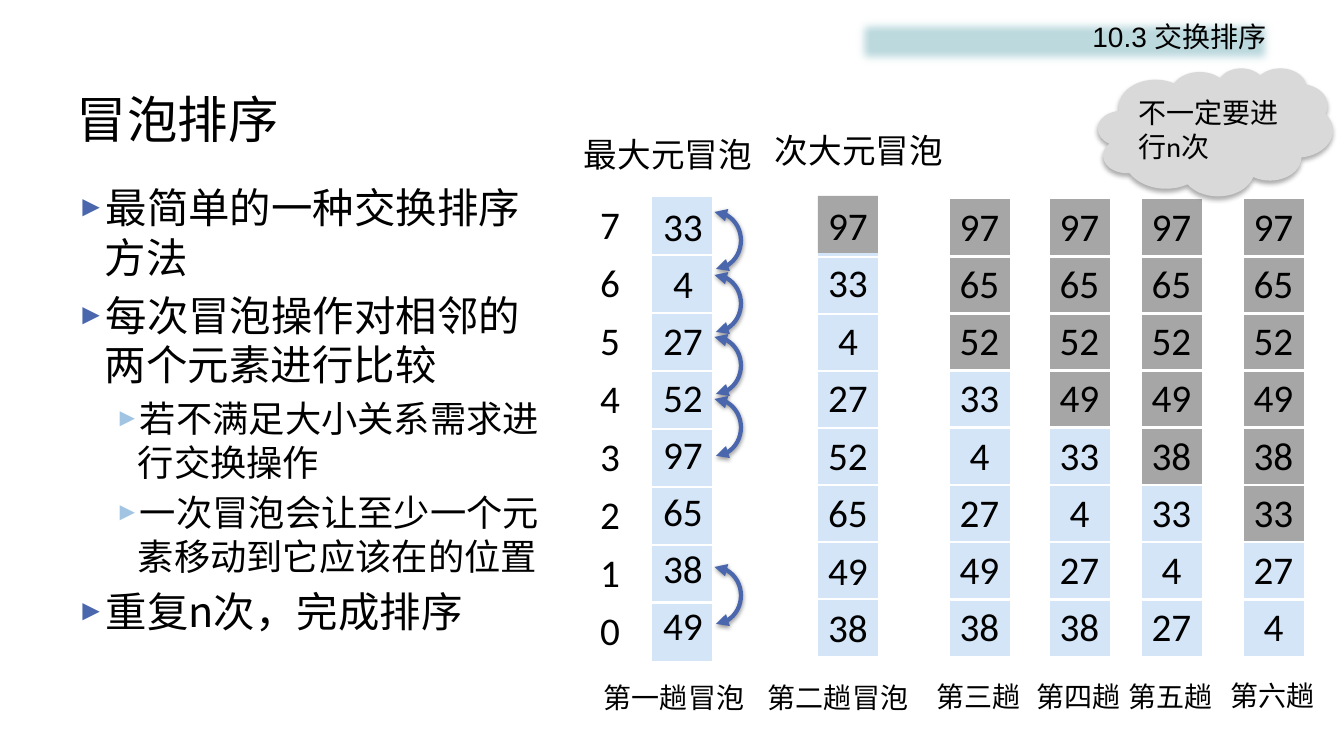
import pptx
import pptx.util
import pptx.dml.color
import pptx.enum.shapes
import pptx.enum.text
import pptx.oxml
import pptx.oxml.ns

SLIDE = (1344, 756)
PX = 914400 / 100.8
CJK = "Noto Sans CJK SC"
COLORS = {"ink": "000000", "band": "BDDADF", "open": "D4E5F7", "sorted": "A6A6A6",
          "border": "FFFFFF", "accent": "4A66AC", "soft": "A1C4E3", "cloud": "D9D9D9"}
ALIGN = pptx.enum.text.PP_ALIGN
ANCHOR = pptx.enum.text.MSO_ANCHOR
SHAPE = pptx.enum.shapes.MSO_SHAPE

TITLE = ("冒泡排序", (67, 80, 1210, 76))
SECTION = ("10.3 交换排序", (853, 15, 424, 54))
REMARK = ("不一定要进行n次", (1098, 68, 235, 128))
POINTS = [
    (0, "最简单的一种交换排序方法"),
    (0, "每次冒泡操作对相邻的两个元素进行比较"),
    (1, "若不满足大小关系需求进行交换操作"),
    (1, "一次冒泡会让至少一个元素移动到它应该在的位置"),
    (0, "重复n次，完成排序"),
]
POINTS_BOX = (67, 177, 493, 499)
LEVELS = [
    {"size": 29.6, "color": "accent", "left": 28, "hang": 28, "before": 6},
    {"size": 25.9, "color": "soft", "left": 61, "hang": 23, "before": 5},
]
CAPTIONS = [("最大元冒泡", (574, 129, 190, 50)), ("次大元冒泡", (765, 125, 190, 50))]
PASSES = [
    ("第一趟冒泡", (594, 676, 161, 44)),
    ("第二趟冒泡", (758, 676, 161, 44)),
    ("第三趟", (927, 675, 105, 44)),
    ("第四趟", (1027, 675, 105, 44)),
    ("第五趟", (1119, 675, 105, 44)),
    ("第六趟", (1221, 674, 105, 44)),
]
INDEXES = [7, 6, 5, 4, 3, 2, 1, 0]
FIRST = [33, 4, 27, 52, 97, 65, 38, 49]
SECOND = [97, 33, 4, 27, 52, 65, 49, 38]
LATER = [
    (949, 199, 3, [97, 65, 52, 33, 4, 27, 49, 38]),
    (1049, 199, 4, [97, 65, 52, 49, 33, 4, 27, 38]),
    (1141, 199, 5, [97, 65, 52, 49, 38, 33, 4, 27]),
    (1243, 199, 6, [97, 65, 52, 49, 38, 33, 27, 4]),
]
CELL_W, FIRST_H, ROW_H, VALUE_W, VALUE_H = 61, 58, 57, 60, 57
SWAP_TOPS = [212, 275, 337, 399, 567]


def emu(px):
    return round(px * PX)


def rgb(name):
    return pptx.dml.color.RGBColor.from_string(COLORS[name])


def paint(target, name):
    target.fill.solid()
    target.fill.fore_color.rgb = rgb(name)


def xml(tag, body="", **attrs):
    listed = " ".join(f'{key}="{value}"' for key, value in attrs.items())
    return pptx.oxml.parse_xml(f'<a:{tag} {pptx.oxml.ns.nsdecls("a")} {listed}>{body}</a:{tag}>')


def write(paragraph, text, size, font, align=ALIGN.LEFT):
    paragraph.alignment = align
    run = paragraph.add_run()
    run.text = text
    for key, value in {"size": pptx.util.Pt(size), "name": font}.items():
        setattr(run.font, key, value)
    run.font.color.rgb = rgb("ink")
    run.font._element.append(xml("ea", typeface=CJK))


def label(text, box, size, font, align=ALIGN.LEFT, wrap=False, anchor=ANCHOR.TOP):
    holder = slide.shapes.add_textbox(*map(emu, box))
    frame = holder.text_frame
    frame.word_wrap, frame.vertical_anchor = wrap, anchor
    write(frame.paragraphs[0], text, size, font, align)
    return holder


def preset(kind, box, fill=None):
    shape = slide.shapes.add_shape(kind, *map(emu, box))
    shape.shadow.inherit = False
    if fill:
        paint(shape, fill)
        shape.line.fill.background()
    else:
        shape.fill.background()
    return shape


def effect(shape, element):
    shape._element.spPr.find(pptx.oxml.ns.qn("a:effectLst")).append(element)


def shadow(shape, blur, distance, percent):
    tint = f'<a:srgbClr val="{COLORS["ink"]}"><a:alpha val="{percent * 1000}"/></a:srgbClr>'
    effect(shape, xml("outerShdw", tint, blurRad=pptx.util.Pt(blur),
                      dist=pptx.util.Pt(distance), dir=5400000, rotWithShape=0))


def grid(left, top, row_height, columns):
    rows = len(columns[0])
    box = (left, top, CELL_W * len(columns), row_height * rows)
    table = slide.shapes.add_table(rows, len(columns), *map(emu, box)).table
    table.first_row = table.horz_banding = False
    for column in table.columns:
        column.width = emu(CELL_W)
    for row in table.rows:
        row.height = emu(row_height)
    white = f'<a:solidFill><a:srgbClr val="{COLORS["border"]}"/></a:solidFill>'
    for c, column in enumerate(columns):
        for r, (value, fill, align) in enumerate(column):
            cell = table.cell(r, c)
            cell.vertical_anchor = ANCHOR.MIDDLE
            if value is not None:
                write(cell.text_frame.paragraphs[0], str(value), 28, "Calibri", align)
            drawn = {"lnL": True, "lnR": c < len(columns) - 1, "lnT": r > 0, "lnB": r < rows - 1}
            for side, visible in drawn.items():
                cell._tc.get_or_add_tcPr().append(
                    xml(side, white if visible else "<a:noFill/>", w=pptx.util.Pt(2.25)))
            if fill:
                paint(cell, fill)
            else:
                cell.fill.background()


def values(left, top, step, numbers):
    return [label(str(number), (left, top + row * step, VALUE_W, VALUE_H), 28, "Calibri", ALIGN.CENTER)
            for row, number in enumerate(numbers)]


deck = pptx.Presentation()
deck.slide_width, deck.slide_height = map(emu, SLIDE)
slide = deck.slides.add_slide(deck.slide_layouts[6])

label(*TITLE, 36, CJK, wrap=True, anchor=ANCHOR.MIDDLE)

points = slide.shapes.add_textbox(*map(emu, POINTS_BOX)).text_frame
points.word_wrap = True
for number, (level, text) in enumerate(POINTS):
    style = LEVELS[level]
    point = points.add_paragraph() if number else points.paragraphs[0]
    point.line_spacing = 1.0
    point.space_before = pptx.util.Pt(style["before"] if number else 0)
    marks = point._p.get_or_add_pPr()
    marks.set("marL", str(emu(style["left"])))
    marks.set("indent", str(-emu(style["hang"])))
    marks.append(xml("buClr", f'<a:srgbClr val="{COLORS[style["color"]]}"/>'))
    marks.append(xml("buSzPct", val=70000))
    marks.append(xml("buFont", typeface="Arial"))
    marks.append(xml("buChar", char="►"))
    write(point, text, style["size"], CJK)

section = preset(SHAPE.RECTANGLE, SECTION[1], "band")
effect(section, xml("softEdge", rad=88900))
section.text_frame.word_wrap = True
section.text_frame.vertical_anchor = ANCHOR.TOP
write(section.text_frame.paragraphs[0], SECTION[0], 20, "Arial", ALIGN.RIGHT)

grid(590, 197, FIRST_H, [[(index, None, ALIGN.LEFT) for index in INDEXES],
                         [(None, "open", None)] * len(FIRST)])
values(653, 197, ROW_H, FIRST)
for top in SWAP_TOPS:
    swap = preset(SHAPE.ARC, (688, top, 53, 57))
    swap.adjustments[0], swap.adjustments[1] = 162, 52.209
    swap.line.color.rgb = rgb("accent")
    swap.line.width = pptx.util.Pt(3)
    for end in ("headEnd", "tailEnd"):
        swap.line._get_or_add_ln().append(xml(end, type="triangle"))
    shadow(swap, 3.1, 1.6, 38)

grid(817, 200, ROW_H, [[(None, "open", None)] * len(SECOND)])
paint(values(818, 196, 57.5, SECOND)[0], "sorted")

for left, top, done, numbers in LATER:
    grid(left, top, ROW_H, [[(number, "sorted" if row < done else "open", ALIGN.CENTER)
                             for row, number in enumerate(numbers)]])

for text, box in CAPTIONS:
    label(text, box, 24, CJK)
for text, box in PASSES:
    label(text, box, 20, "Arial")

remark = preset(SHAPE.CLOUD, REMARK[1], "cloud")
shadow(remark, 3.5, 2.2, 32)
remark_format = {"word_wrap": True, "vertical_anchor": ANCHOR.MIDDLE, "margin_left": emu(8),
                 "margin_top": emu(5), "margin_right": 0, "margin_bottom": emu(5)}
for key, value in remark_format.items():
    setattr(remark.text_frame, key, value)
write(remark.text_frame.paragraphs[0], REMARK[0], 20, "Calibri")

deck.save("out.pptx")
